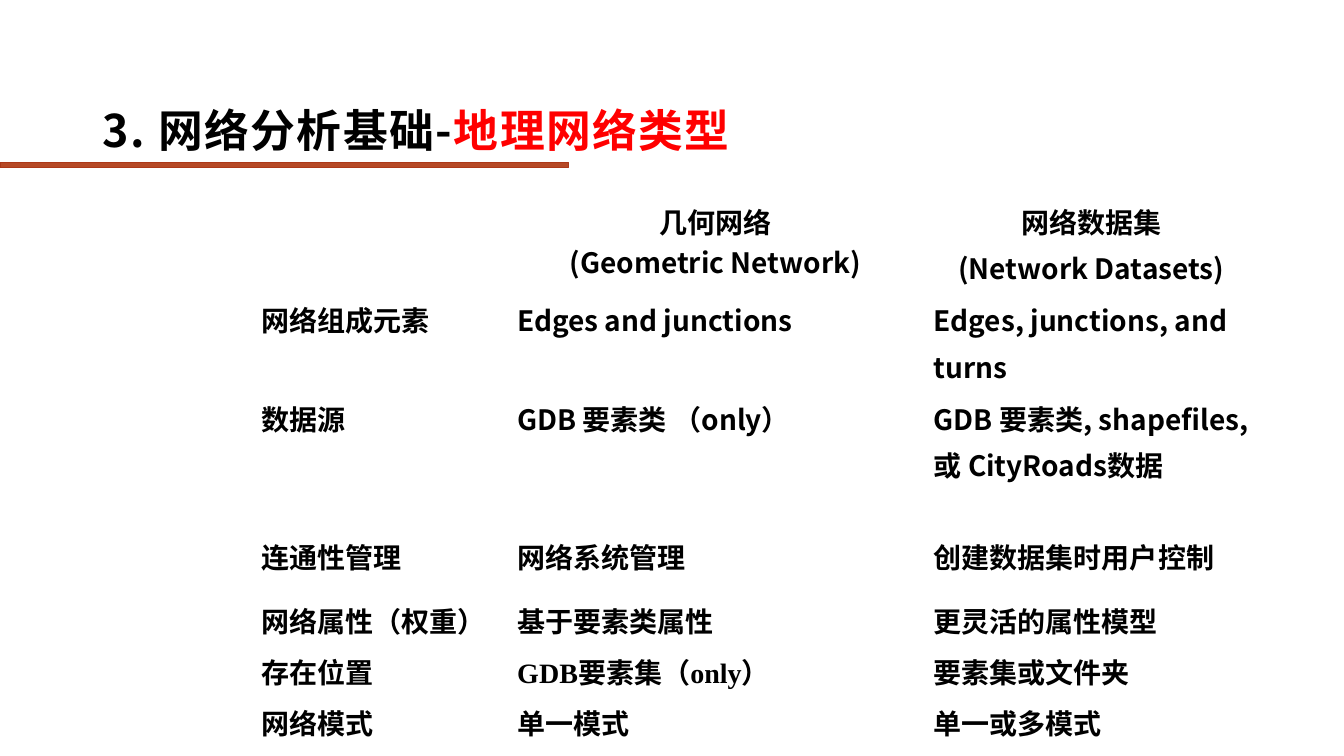
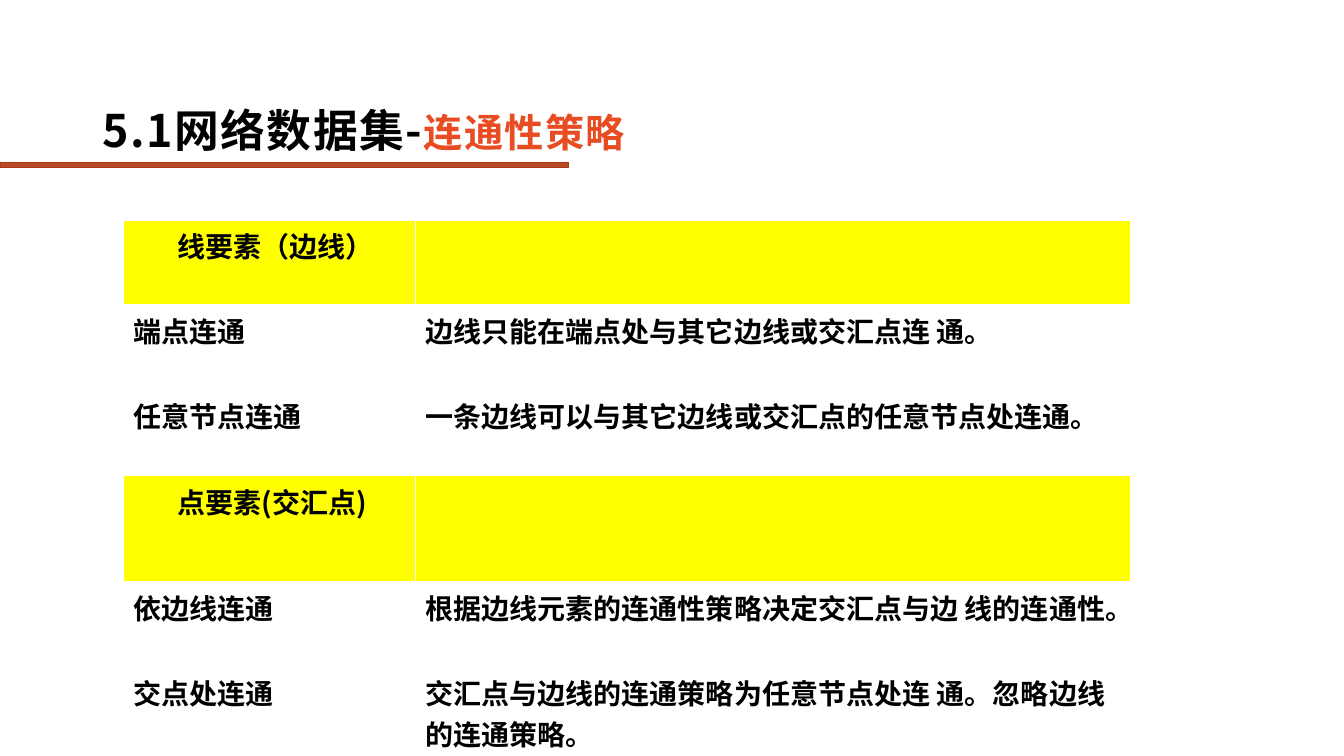
from dataclasses import dataclass

from lxml import etree
from pptx import Presentation
from pptx.dml.color import RGBColor
from pptx.enum.shapes import MSO_SHAPE
from pptx.enum.text import MSO_ANCHOR, MSO_AUTO_SIZE, PP_ALIGN
from pptx.oxml.ns import qn
from pptx.util import Inches, Pt

RECTANGLE = MSO_SHAPE.RECTANGLE
BOTTOM = MSO_ANCHOR.BOTTOM
NO_AUTOFIT = MSO_AUTO_SIZE.NONE
LEFT = PP_ALIGN.LEFT
CENTER = PP_ALIGN.CENTER

SANS = "Noto Sans CJK SC"
SERIF = "Times New Roman"
BLACK = "000000"
WHITE = "FFFFFF"
RED = "FF0000"
ORANGE = "E84C22"
YELLOW = "FFFF00"
BAR_FILL = "B64926"
BAR_LINE = "AC3819"
TITLE_ONLY_LAYOUT = 5
LINE_BREAK = "\n"


@dataclass
class Run:
    text: str
    size: int = 20
    color: str = BLACK
    font: str = SANS
    spacing: int = 0


def rgb(value):
    return RGBColor.from_string(value)


def serif(text):
    return Run(text, font=SERIF)


class Deck:
    def __init__(self):
        self.presentation = Presentation()
        self.presentation.slide_width = Inches(13.33)
        self.presentation.slide_height = Inches(7.5)
        self.slide = None

    def add_slide(self, title_runs):
        layout = self.presentation.slide_layouts[TITLE_ONLY_LAYOUT]
        self.slide = self.presentation.slides.add_slide(layout)
        self.add_title(title_runs)
        self.add_bar()

    def add_title(self, runs):
        title = self.slide.shapes.title
        title.left, title.top = Inches(0.92), Inches(0.11)
        title.width, title.height = Inches(10), Inches(1.5)
        frame = title.text_frame
        frame.word_wrap = True
        frame.auto_size = NO_AUTOFIT
        frame.vertical_anchor = BOTTOM
        paragraph = frame.paragraphs[0]
        paragraph.alignment = LEFT
        paragraph.line_spacing = 0.9
        self.add_runs(paragraph, runs)

    def add_bar(self):
        bar = self.slide.shapes.add_shape(
            RECTANGLE, 0, Inches(1.61), Inches(5.64), Inches(0.05))
        bar.shadow.inherit = False
        bar.fill.solid()
        bar.fill.fore_color.rgb = rgb(BAR_FILL)
        bar.line.color.rgb = rgb(BAR_LINE)
        bar.line.width = Pt(1)

    def add_runs(self, paragraph, runs):
        for item in runs:
            if item == LINE_BREAK:
                paragraph.add_line_break()
                continue
            style = Run(item) if isinstance(item, str) else item
            run = paragraph.add_run()
            run.text = style.text
            font = run.font
            font.size = Pt(style.size)
            font.bold = True
            font.name = style.font
            font.color.rgb = rgb(style.color)
            properties = run._r.get_or_add_rPr()
            if style.spacing:
                properties.set("spc", str(style.spacing * 100))
            etree.SubElement(properties, qn("a:ea"), typeface=SANS)

    def add_table(self, left, top, widths, heights, rows,
                  centered_rows=(), section_rows=()):
        table = self.slide.shapes.add_table(
            len(heights), len(widths), Inches(left), Inches(top),
            Inches(sum(widths)), Inches(sum(heights))).table
        table.first_row = False
        table.horz_banding = False
        for column, width in zip(table.columns, widths):
            column.width = Inches(width)
        for row, height in zip(table.rows, heights):
            row.height = Inches(height)
        last_row, last_column = len(heights) - 1, len(widths) - 1
        for row_index, row in enumerate(rows):
            is_section = row_index in section_rows
            for column_index, paragraphs in enumerate(row):
                cell = table.cell(row_index, column_index)
                self.add_borders(cell, {
                    "a:lnL": column_index == 0,
                    "a:lnR": column_index == last_column,
                    "a:lnT": row_index == 0,
                    "a:lnB": row_index == last_row,
                })
                if is_section:
                    cell.fill.solid()
                    cell.fill.fore_color.rgb = rgb(YELLOW)
                else:
                    cell.fill.background()
                alignment = CENTER if row_index in centered_rows else LEFT
                indent = 0.44 if is_section else 0
                self.fill_cell(cell, paragraphs, alignment, indent)

    def fill_cell(self, cell, paragraphs, alignment, indent):
        if isinstance(paragraphs, (str, Run)):
            paragraphs = [[paragraphs]] if paragraphs else []
        frame = cell.text_frame
        for index, runs in enumerate(paragraphs):
            paragraph = frame.add_paragraph() if index else frame.paragraphs[0]
            paragraph.alignment = alignment
            if index:
                paragraph.space_before = Pt(4)
            if indent:
                properties = paragraph._p.get_or_add_pPr()
                properties.set("marL", str(Inches(indent)))
            self.add_runs(paragraph, runs)

    def add_borders(self, cell, sides):
        properties = cell._tc.get_or_add_tcPr()
        for tag, is_outer in sides.items():
            width = Pt(2.25 if is_outer else 1)
            line = etree.SubElement(properties, qn(tag), w=str(width))
            fill = etree.SubElement(line, qn("a:solidFill"))
            etree.SubElement(fill, qn("a:srgbClr"), val=WHITE)


def add_network_types(deck):
    deck.add_slide([
        Run("3. 网络分析基础-", 32, spacing=1),
        Run("地理网络类型", 32, RED, spacing=1),
    ])
    rows = [
        ["", [["几何网络", LINE_BREAK, "(Geometric Network)"]],
         [["网络数据集"], ["(Network Datasets)"]]],
        ["网络组成元素", "Edges and junctions",
         [["Edges, junctions, and"], ["turns"]]],
        ["数据源", "GDB 要素类 （only）",
         [["GDB 要素类, shapefiles,"], ["或 CityRoads数据"]]],
        ["连通性管理", "网络系统管理", "创建数据集时用户控制"],
        ["网络属性（权重）", "基于要素类属性", "更灵活的属性模型"],
        [serif("存在位置"), [[serif("GDB"), "要素", serif("集（only）")]],
         serif("要素集或文件夹")],
        [serif("网络模式"), serif("单一模式"), serif("单一或多模式")],
    ]
    deck.add_table(2.49, 1.94, [2.54, 4.13, 3.33],
                   [0.98] * 3 + [0.64, 0.44, 0.36, 0.36],
                   rows, centered_rows=(0,))


def add_connectivity_policies(deck):
    deck.add_slide([
        Run("5.1网络数据集-", 32, spacing=1),
        Run("连通性策略", 28, ORANGE, spacing=1),
    ])
    rows = [
        ["线要素（边线）", ""],
        ["端点连通", "边线只能在端点处与其它边线或交汇点连 通。"],
        ["任意节点连通", "一条边线可以与其它边线或交汇点的任意节点处连通。"],
        ["点要素(交汇点)", ""],
        ["依边线连通", "根据边线元素的连通性策略决定交汇点与边 线的连通性。"],
        ["交点处连通",
         "交汇点与边线的连通策略为任意节点处连 通。忽略边线的连通策略。"],
    ]
    deck.add_table(1.22, 2.18, [2.9, 7.1],
                   [0.84, 0.85, 0.85, 1.05, 0.85, 0.85],
                   rows, section_rows=(0, 3))


def main():
    deck = Deck()
    add_network_types(deck)
    add_connectivity_policies(deck)
    deck.presentation.save("out.pptx")


if __name__ == "__main__":
    main()
